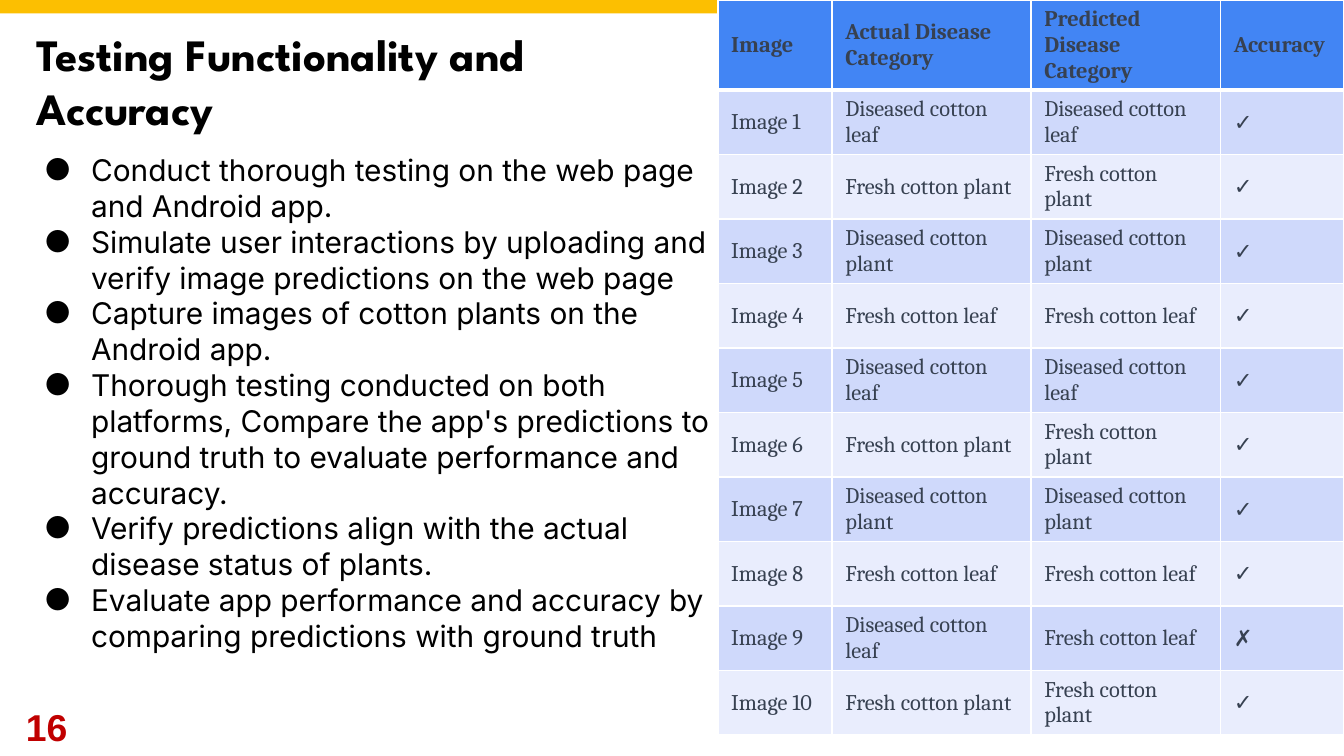
import lxml.etree
import pptx
import pptx.dml.color
import pptx.enum.shapes
import pptx.enum.text
import pptx.oxml.ns
import pptx.util

Inches = pptx.util.Inches
Pt = pptx.util.Pt
RGBColor = pptx.dml.color.RGBColor
qn = pptx.oxml.ns.qn

BLACK = RGBColor(0x00, 0x00, 0x00)
WHITE = RGBColor(0xFF, 0xFF, 0xFF)
GOLD = RGBColor(0xFC, 0xBF, 0x01)
RED = RGBColor(0xC0, 0x00, 0x00)
SLATE = RGBColor(0x37, 0x41, 0x51)
HEADER_BLUE = RGBColor(0x42, 0x85, 0xF4)
BAND_DARK = RGBColor(0xCF, 0xD9, 0xFB)
BAND_LIGHT = RGBColor(0xE9, 0xED, 0xFD)

TITLE = "Testing Functionality and Accuracy"
BULLETS = [
    "Conduct thorough testing on the web page and Android app.",
    "Simulate user interactions by uploading and verify image predictions on the web page",
    "Capture images of cotton plants on the Android app.",
    "Thorough testing conducted on both platforms, Compare the app's predictions to "
    "ground truth to evaluate performance and accuracy.",
    "Verify predictions align with the actual disease status of plants.",
    "Evaluate app performance and accuracy by comparing predictions with ground truth",
]
HEADERS = ["Image", "Actual Disease\vCategory", "Predicted Disease\vCategory", "Accuracy"]
RESULTS = [
    ("Diseased cotton leaf", "Diseased cotton leaf"),
    ("Fresh cotton plant", "Fresh cotton plant"),
    ("Diseased cotton plant", "Diseased cotton plant"),
    ("Fresh cotton leaf", "Fresh cotton leaf"),
    ("Diseased cotton leaf", "Diseased cotton leaf"),
    ("Fresh cotton plant", "Fresh cotton plant"),
    ("Diseased cotton plant", "Diseased cotton plant"),
    ("Fresh cotton leaf", "Fresh cotton leaf"),
    ("Diseased cotton leaf", "Fresh cotton leaf"),
    ("Fresh cotton plant", "Fresh cotton plant"),
]
COLUMN_WIDTHS = [0.85, 1.48, 1.41, 0.92]
HEADER_HEIGHT = 0.67
ROW_HEIGHT = 0.48


def style_font(font, name, size, color, bold=False):
    """Set the typeface, size, colour and weight of a font."""
    font.name = name
    font.size = Pt(size)
    font.color.rgb = color
    font.bold = bold


def add_text_frame(slide, box):
    """Add a wrapping text box with even margins and return its text frame."""
    frame = slide.shapes.add_textbox(*map(Inches, box)).text_frame
    frame.word_wrap = True
    frame.margin_left = frame.margin_right = Inches(0.1)
    frame.margin_top = frame.margin_bottom = Inches(0.1)
    return frame


def add_top_band(slide, box):
    """Draw the gold band along the top edge."""
    band = slide.shapes.add_shape(
        pptx.enum.shapes.MSO_SHAPE.RECTANGLE, *map(Inches, box))
    band.shadow.inherit = False
    band.fill.solid()
    band.fill.fore_color.rgb = GOLD
    band.line.fill.background()


def add_title(slide, box):
    """Place the slide title."""
    paragraph = add_text_frame(slide, box).paragraphs[0]
    paragraph.text = TITLE
    style_font(paragraph.font, "League Spartan", 24, BLACK, True)


def add_bullet(paragraph):
    """Give a paragraph a round black bullet with a hanging indent."""
    properties = paragraph._p.get_or_add_pPr()
    properties.set("marL", str(Inches(0.5)))
    properties.set("indent", str(Inches(-0.35)))
    color = lxml.etree.SubElement(properties, qn("a:buClr"))
    lxml.etree.SubElement(color, qn("a:srgbClr"), val=str(BLACK))
    lxml.etree.SubElement(properties, qn("a:buFont"), typeface="Inter")
    lxml.etree.SubElement(properties, qn("a:buChar"), char="●")


def add_bullet_list(slide, box):
    """Place the list of testing steps."""
    frame = add_text_frame(slide, box)
    for index, text in enumerate(BULLETS):
        paragraph = frame.add_paragraph() if index else frame.paragraphs[0]
        paragraph.text = text
        add_bullet(paragraph)
        style_font(paragraph.font, "Inter", 16, BLACK)


def set_borders(cell, bottom_width):
    """Draw white borders round a cell."""
    properties = cell._tc.get_or_add_tcPr()
    for side, width in (("L", 1), ("R", 1), ("T", 1), ("B", bottom_width)):
        line = lxml.etree.SubElement(properties, qn(f"a:ln{side}"), w=str(Pt(width)))
        fill = lxml.etree.SubElement(line, qn("a:solidFill"))
        lxml.etree.SubElement(fill, qn("a:srgbClr"), val=str(WHITE))


def fill_cell(cell, text, color, font_name, is_header, bottom_width):
    """Write and format one table cell."""
    set_borders(cell, bottom_width)
    cell.fill.solid()
    cell.fill.fore_color.rgb = color
    cell.vertical_anchor = pptx.enum.text.MSO_ANCHOR.MIDDLE
    cell.margin_top = cell.margin_bottom = Inches(0.03)
    cell.text_frame.text = text
    style_font(cell.text_frame.paragraphs[0].font, font_name, 12, SLATE, is_header)


def add_results_table(slide, box):
    """Place the table of actual and predicted categories."""
    rows = [HEADERS]
    for number, (actual, predicted) in enumerate(RESULTS, 1):
        mark = "✓" if actual == predicted else "✗"
        rows.append([f"Image {number}", actual, predicted, mark])
    table = slide.shapes.add_table(
        len(rows), len(HEADERS), *map(Inches, box)).table
    for column, width in zip(table.columns, COLUMN_WIDTHS):
        column.width = Inches(width)
    for row_index, values in enumerate(rows):
        is_header = row_index == 0
        table.rows[row_index].height = Inches(HEADER_HEIGHT if is_header else ROW_HEIGHT)
        band = BAND_DARK if row_index % 2 else BAND_LIGHT
        for column_index, text in enumerate(values):
            is_mark = not is_header and column_index == len(HEADERS) - 1
            fill_cell(table.cell(row_index, column_index), text,
                      HEADER_BLUE if is_header else band,
                      "Cabin" if is_mark else "Cambria",
                      is_header, 3 if is_header else 1)


def add_page_number(slide, box):
    """Place the page number in the lower left corner."""
    frame = add_text_frame(slide, box)
    frame.vertical_anchor = pptx.enum.text.MSO_ANCHOR.MIDDLE
    paragraph = frame.paragraphs[0]
    paragraph.text = "16"
    paragraph.alignment = pptx.enum.text.PP_ALIGN.RIGHT
    style_font(paragraph.font, "Arial", 20, RED, True)


def main():
    """Build the slide and save it."""
    presentation = pptx.Presentation()
    presentation.slide_width = Inches(10)
    presentation.slide_height = presentation.slide_width * 9 // 16
    slide = presentation.slides.add_slide(presentation.slide_layouts[6])
    add_title(slide, (0.17, 0.1, 4.86, 0.92))
    add_top_band(slide, (0, 0, 10, 0.1))
    add_bullet_list(slide, (0.08, 1.03, 5.37, 3.93))
    table_height = HEADER_HEIGHT + ROW_HEIGHT * len(RESULTS)
    add_results_table(slide, (5.34, 0, sum(COLUMN_WIDTHS), table_height))
    add_page_number(slide, (0, 5.19, 0.6, 0.43))
    presentation.save("out.pptx")


if __name__ == "__main__":
    main()
